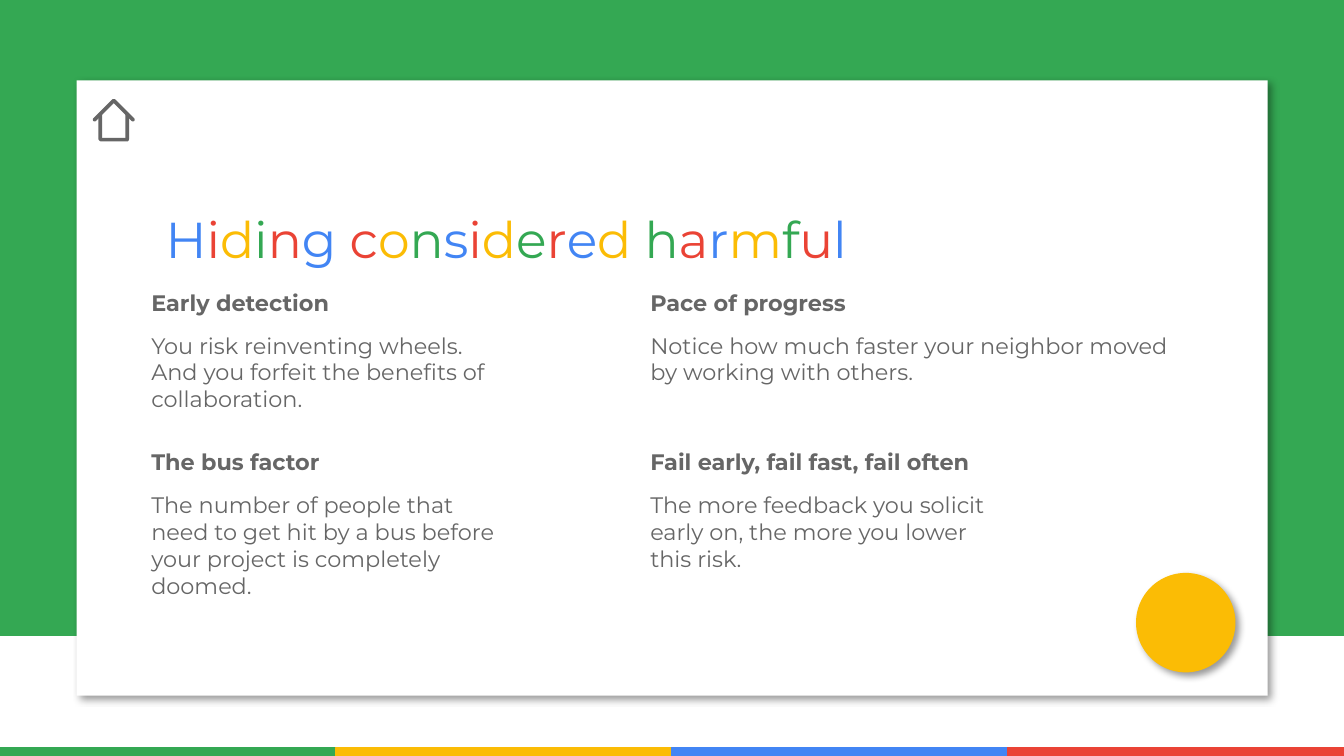
from dataclasses import dataclass
from typing import Optional

from lxml.etree import SubElement
from pptx import Presentation
from pptx.dml.color import RGBColor
from pptx.enum.shapes import MSO_SHAPE
from pptx.enum.text import MSO_ANCHOR
from pptx.oxml.ns import qn
from pptx.util import Cm, Pt


@dataclass(frozen=True)
class Theme:
    green: str = "34A853"
    yellow: str = "FBBC05"
    blue: str = "4285F4"
    red: str = "EA4335"
    white: str = "FFFFFF"
    grey: str = "666666"
    font: str = "Montserrat"
    title: float = 27
    body: float = 12


@dataclass(frozen=True)
class Box:
    left: float
    top: float
    width: float
    height: float


@dataclass(frozen=True)
class Bar:
    box: Box
    turn: float = 0


@dataclass(frozen=True)
class Topic:
    left: float
    top: float
    width: float
    head: str
    body: str


theme = Theme()
WIDE, HIGH = 25.4, 14.29

deck = Presentation()
deck.slide_width, deck.slide_height = Cm(WIDE), Cm(HIGH)
slide = deck.slides.add_slide(deck.slide_layouts[6])


def place(box: Box) -> tuple:
    return Cm(box.left), Cm(box.top), Cm(box.width), Cm(box.height)


def draw(kind: MSO_SHAPE, box: Box, fill: str, line: Optional[float] = None):
    shape = slide.shapes.add_shape(kind, *place(box))
    shape.shadow.inherit = False
    shape.fill.solid()
    shape.fill.fore_color.rgb = RGBColor.from_string(fill)
    if line is None:
        shape.line.fill.background()
    else:
        shape.line.color.rgb = RGBColor.from_string(fill)
        shape.line.width = Pt(line)
    return shape


def shade(shape) -> None:
    effects = shape._element.spPr.find(qn("a:effectLst"))
    outer = SubElement(effects, qn("a:outerShdw"), blurRad=str(Pt(4)),
                       dist=str(Pt(3)), dir="2700000", algn="bl", rotWithShape="0")
    color = SubElement(outer, qn("a:srgbClr"), val="000000")
    SubElement(color, qn("a:alpha"), val="40000")


def frame(box: Box, side: float, edge: float):
    text = slide.shapes.add_textbox(*place(box)).text_frame
    text.word_wrap = True
    text.margin_left = text.margin_right = Cm(side)
    text.margin_top = text.margin_bottom = Cm(edge)
    return text


def write(box: Box, words: str, bold: bool = False) -> None:
    para = frame(box, 0.25, 0.13).paragraphs[0]
    para.text = words
    para.font.name, para.font.size = theme.font, Pt(theme.body)
    para.font.bold = bold
    para.font.color.rgb = RGBColor.from_string(theme.grey)


def tell(topic: Topic) -> None:
    write(Box(topic.left, topic.top, topic.width, 0.81), topic.head, True)
    write(Box(topic.left, topic.top + 0.81, topic.width, 1.63), topic.body)


# Footer stripes
hues = (theme.green, theme.yellow, theme.blue, theme.red)
step = WIDE / len(hues)
for col, hue in enumerate(hues):
    draw(MSO_SHAPE.RECTANGLE, Box(col * step, 14.13, step, 0.16), hue, 0.75)

# Backdrop, card and disc
draw(MSO_SHAPE.RECTANGLE, Box(0, 0, WIDE, 12.01), theme.green, 1)
shade(draw(MSO_SHAPE.RECTANGLE, Box(1.45, 1.52, 22.51, 11.63), theme.white))
shade(draw(MSO_SHAPE.OVAL, Box(21.47, 10.83, 1.88, 1.88), theme.yellow))

# House icon: walls, floor, roof
for bar in (
    Bar(Box(1.86, 2.13, 0.07, 0.53)),
    Bar(Box(2.37, 2.13, 0.07, 0.53)),
    Bar(Box(2.12, 2.36, 0.07, 0.56), 90),
    Bar(Box(1.93, 1.8, 0.07, 0.57), 45),
    Bar(Box(2.3, 1.8, 0.07, 0.57), 315),
):
    beam = draw(MSO_SHAPE.ROUNDED_RECTANGLE, bar.box, theme.grey)
    beam.adjustments[0] = 0.5
    beam.rotation = bar.turn

# Title, one colour per letter
TITLE = "Hiding considered harmful"
CODES = "BRYGRB RYGBRYGRBY GRBYGRB"
ink = {"G": theme.green, "Y": theme.yellow, "B": theme.blue, "R": theme.red}
text = frame(Box(2.95, 3.78, 20.12, 1.47), 0.18, 0.1)
text.vertical_anchor = MSO_ANCHOR.MIDDLE
para = text.paragraphs[0]
para.font.name, para.font.size = theme.font, Pt(theme.title)
for char, code in zip(TITLE, CODES):
    if char == " ":
        run.text += char
        continue
    run = para.add_run()
    run.text = char
    run.font.name, run.font.size = theme.font, Pt(theme.title)
    run.font.color.rgb = RGBColor.from_string(ink[code])

# Topics in two columns and two rows
LEFT, RIGHT = 2.61, 12.04
UPPER, LOWER = 5.33, 8.35
for topic in (
    Topic(LEFT, UPPER, 7.32, "Early detection",
          "You risk reinventing wheels. And you forfeit the benefits of collaboration."),
    Topic(LEFT, LOWER, 7.32, "The bus factor",
          "The number of people that need to get hit by a bus before "
          "your project is completely doomed."),
    Topic(RIGHT, UPPER, 10.6, "Pace of progress",
          "Notice how much faster your neighbor moved by working with others."),
    Topic(RIGHT, LOWER, 7.32, "Fail early, fail fast, fail often",
          "The more feedback you solicit early on, the more you lower this risk."),
):
    tell(topic)

deck.save("out.pptx")
